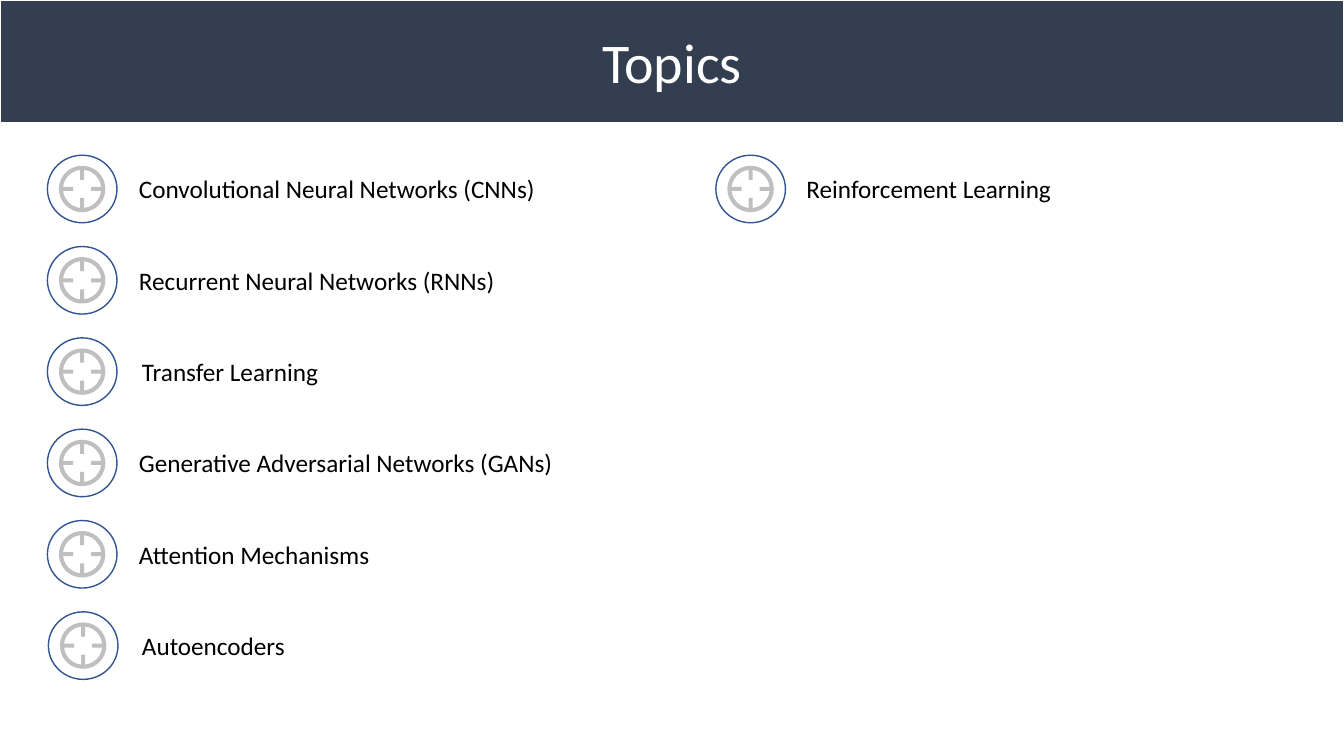
from math import asin, cos, degrees, sin

from lxml import etree
from pptx import Presentation
from pptx.dml.color import RGBColor
from pptx.enum.shapes import MSO_SHAPE
from pptx.enum.text import MSO_ANCHOR, MSO_AUTO_SIZE, PP_ALIGN
from pptx.oxml.ns import qn
from pptx.util import Inches, Pt

COLORS = {"banner": "333F50", "white": "FFFFFF", "ring": "325491",
          "target": "BFBFBF", "text": "000000"}
FONT = "Calibri"
RING_W, RING_H = 0.69, 0.67
LABEL_H = 0.4
TOP = 1.54
PITCH = (6.07 - TOP) / 5

# Each column: its topics as (label, label width, ring left, label left)
COLUMNS = [
    [("Convolutional Neural Networks (CNNs)", 4.3, 0.47, 1.28),
     ("Recurrent Neural Networks (RNNs)", 3.77, 0.47, 1.28),
     ("Transfer Learning", 1.97, 0.47, 1.31),
     ("Generative Adversarial Networks (GANs)", 4.35, 0.47, 1.28),
     ("Attention Mechanisms", 2.52, 0.47, 1.28),
     ("Autoencoders", 1.63, 0.48, 1.31)],
    [("Reinforcement Learning", 2.66, 7.1, 7.9)],
]


def rgb(name):
    return RGBColor.from_string(COLORS[name])


def set_text(tf, text, size, color):
    tf.text = text
    font = tf.paragraphs[0].runs[0].font
    font.name, font.size = FONT, Pt(size)
    font.color.rgb = rgb(color)


def add_banner(slide, text, left, top, width, height):
    sp = slide.shapes.title
    sp.left, sp.top = Inches(left), Inches(top)
    sp.width, sp.height = Inches(width), Inches(height)
    sp.fill.solid()
    sp.fill.fore_color.rgb = rgb("banner")
    sp.line.color.rgb = rgb("white")
    sp.line.width = Pt(1)
    tf = sp.text_frame
    set_text(tf, text, 40, "white")
    tf.auto_size = MSO_AUTO_SIZE.NONE
    tf.vertical_anchor = MSO_ANCHOR.MIDDLE
    tf.paragraphs[0].alignment = PP_ALIGN.CENTER


def bend(segment, radius, start, sweep):
    """Turn a straight path segment into a circular arc; angles in degrees."""
    arc = etree.Element(qn("a:arcTo"))
    for name, value in (("wR", Inches(radius)), ("hR", Inches(radius)),
                        ("stAng", round(start * 60000)),
                        ("swAng", round(sweep * 60000))):
        arc.set(name, str(int(value)))
    segment.getparent().replace(segment, arc)


def add_target(shapes, cx, cy, outer=0.23, inner=0.19, tick=0.02, tick_end=0.09):
    """Draw a ring with four ticks that point to its centre."""
    gap = asin(tick / inner)
    rim = [(outer, 0), (0, -outer), (-outer, 0), (0, outer), (outer, 0)]
    quarter = [(inner * cos(gap), inner * sin(gap)),
               (inner * sin(gap), inner * cos(gap)),
               (tick, tick_end), (-tick, tick_end)]
    hole = []
    for _ in range(4):
        hole += quarter
        quarter = [(-y, x) for x, y in quarter]
    rim, hole = [[(Inches(cx + x), Inches(cy + y)) for x, y in points]
                 for points in (rim, hole)]

    builder = shapes.build_freeform(*rim[0], scale=1.0)
    builder.add_line_segments(rim[1:], close=True)
    builder.move_to(*hole[0])
    builder.add_line_segments(hole[1:], close=True)
    sp = builder.convert_to_shape()
    segments = list(sp._element.iter(qn("a:lnTo")))
    for i in range(4):
        bend(segments[i], outer, -90 * i % 360, -90)
        bend(segments[4 + 4 * i], inner, 90 * i + degrees(gap), 90 - 2 * degrees(gap))
    sp.shadow.inherit = False
    sp.fill.solid()
    sp.fill.fore_color.rgb = rgb("target")
    sp.line.fill.background()


def add_icon(slide, left, top):
    shapes = slide.shapes.add_group_shape().shapes
    add_target(shapes, left + RING_W / 2, top + RING_H / 2)
    ring = shapes.add_shape(MSO_SHAPE.OVAL, Inches(left), Inches(top),
                            Inches(RING_W), Inches(RING_H))
    ring.shadow.inherit = False
    ring.fill.background()
    ring.line.color.rgb = rgb("ring")
    ring.line.width = Pt(1)


def add_label(slide, text, left, top, width):
    box = slide.shapes.add_textbox(Inches(left), Inches(top),
                                   Inches(width), Inches(LABEL_H))
    tf = box.text_frame
    tf.word_wrap = False
    tf.auto_size = MSO_AUTO_SIZE.SHAPE_TO_FIT_TEXT
    set_text(tf, text, 18, "text")


def add_column(slide, topics, top):
    for row, (label, width, ring_left, label_left) in enumerate(topics):
        y = top + row * PITCH
        add_icon(slide, ring_left, y)
        add_label(slide, label, label_left, y + (RING_H - LABEL_H) / 2, width)


def main():
    prs = Presentation()
    prs.slide_width, prs.slide_height = Inches(13.33), Inches(7.5)
    slide = prs.slides.add_slide(prs.slide_layouts[5])
    add_banner(slide, "Topics", 0, 0, 13.33, 1.22)
    for topics in COLUMNS:
        add_column(slide, topics, TOP)
    prs.save("out.pptx")


if __name__ == "__main__":
    main()
